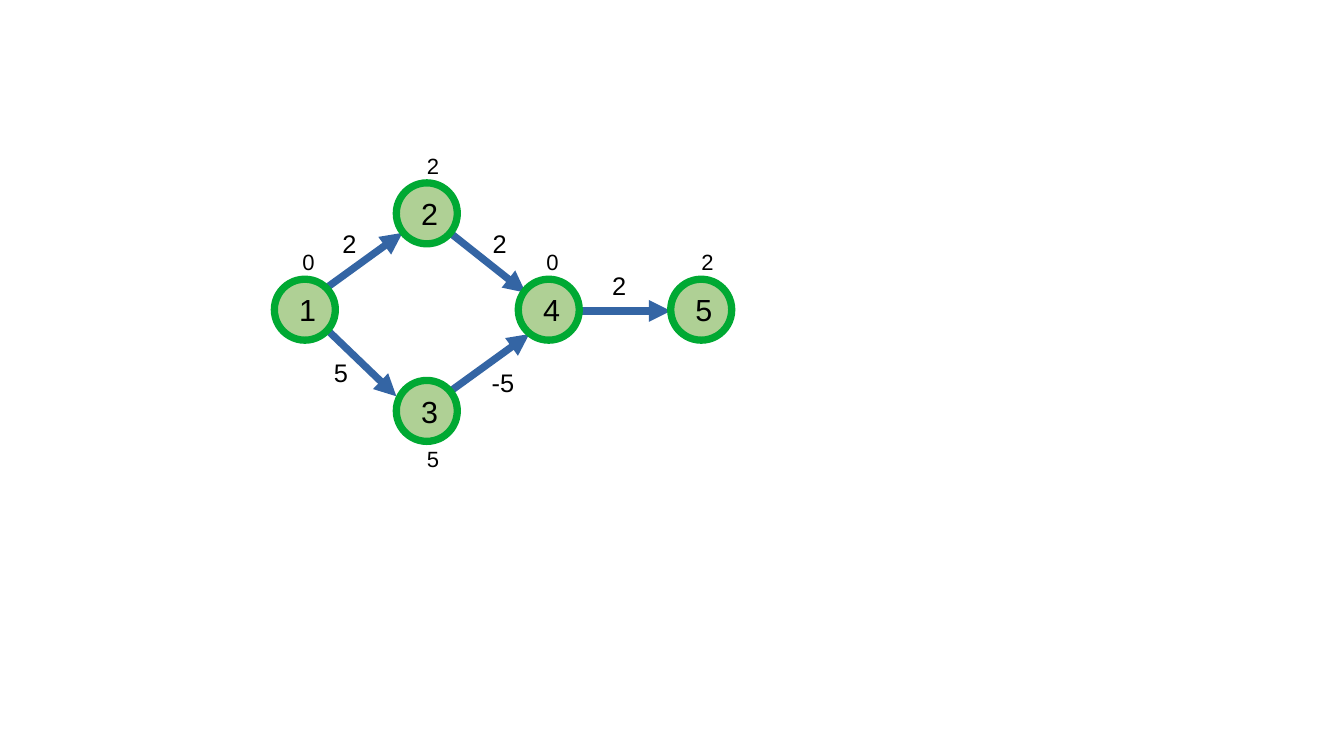
from dataclasses import dataclass

import pptx
import pptx.dml.color
import pptx.enum.shapes
import pptx.enum.text
import pptx.oxml.ns
import pptx.util
from lxml import etree

Pt = pptx.util.Pt
PP_ALIGN = pptx.enum.text.PP_ALIGN
MSO_ANCHOR = pptx.enum.text.MSO_ANCHOR
qn = pptx.oxml.ns.qn


def rgb(code: str) -> pptx.dml.color.RGBColor:
    return pptx.dml.color.RGBColor.from_string(code)


@dataclass(frozen=True)
class Theme:
    font: str = "Arial"
    text: str = "000000"
    node_fill: str = "AFD095"
    node_line: str = "00A933"
    edge: str = "3465A4"
    line_width: float = 4.31
    node_size: float = 18
    weight_size: float = 15
    distance_size: float = 13


@dataclass(frozen=True)
class Node:
    label: str
    x: float
    y: float
    distance: str
    dx: float  # distance label, relative to the node's corner
    dy: float


@dataclass(frozen=True)
class Edge:
    start: tuple[float, float]
    end: tuple[float, float]
    weight: str
    weight_at: tuple[float, float]
    weight_width: float = 22.32


THEME = Theme()
DIAMETER = 36
DISTANCE_BOX = 27.36
WEIGHT_HEIGHT = 23.76
ABOVE, BELOW = -23.76, 32.4

NODES = [
    Node("1", 162, 164.88, "0", 6.48, ABOVE),
    Node("2", 234, 108, "2", 7.92, ABOVE),
    Node("3", 234, 224.64, "5", 7.92, BELOW),
    Node("4", 306, 164.88, "0", 6.48, ABOVE),
    Node("5", 396, 164.88, "2", 7.92, ABOVE),
]
EDGES = [
    Edge((326.88, 183.6), (396, 183.6), "2", (354.24, 156.24)),
    Edge((236.88, 252), (312.48, 197.28), "-5", (283.2, 213.12), 29),
    Edge((254.88, 128.88), (310.32, 172.8), "2", (283.68, 131.04)),
    Edge((179.28, 181.44), (234, 234), "5", (190.08, 207.36)),
    Edge((182.88, 177.12), (237.6, 137.52), "2", (195.12, 131.04)),
]


def write(tf, text: str, size: float, align, anchor) -> None:
    tf.vertical_anchor = anchor
    p = tf.paragraphs[0]
    p.text = text
    p.alignment = align
    p.font.name = THEME.font
    p.font.size = Pt(size)
    p.font.color.rgb = rgb(THEME.text)


def add_label(s, text: str, x: float, y: float, w: float, h: float,
              size: float, align, anchor) -> None:
    tf = s.shapes.add_textbox(Pt(x), Pt(y), Pt(w), Pt(h)).text_frame
    tf.word_wrap = False
    tf.auto_size = pptx.enum.text.MSO_AUTO_SIZE.SHAPE_TO_FIT_TEXT
    write(tf, text, size, align, anchor)


def add_arrow(s, edge: Edge) -> None:
    sp = s.shapes.add_connector(
        pptx.enum.shapes.MSO_CONNECTOR.STRAIGHT,
        *(Pt(v) for v in edge.start + edge.end))
    sp.line.color.rgb = rgb(THEME.edge)
    sp.line.width = Pt(THEME.line_width)
    etree.SubElement(sp.line._get_or_add_ln(), qn("a:tailEnd"), type="triangle")
    etree.SubElement(sp._element.spPr, qn("a:effectLst"))


def add_node(s, node: Node) -> None:
    sp = s.shapes.add_shape(
        pptx.enum.shapes.MSO_SHAPE.OVAL,
        Pt(node.x), Pt(node.y), Pt(DIAMETER), Pt(DIAMETER))
    sp.shadow.inherit = False
    sp.fill.solid()
    sp.fill.fore_color.rgb = rgb(THEME.node_fill)
    sp.line.color.rgb = rgb(THEME.node_line)
    sp.line.width = Pt(THEME.line_width)
    tf = sp.text_frame
    tf.margin_left = tf.margin_right = Pt(9.36)
    tf.margin_top = tf.margin_bottom = Pt(5.76)
    write(tf, node.label, THEME.node_size, PP_ALIGN.CENTER, MSO_ANCHOR.MIDDLE)


def main() -> None:
    prs = pptx.Presentation()
    prs.slide_width, prs.slide_height = Pt(793.44), Pt(446.4)
    s = prs.slides.add_slide(prs.slide_layouts[6])

    # Arrows lie behind the nodes
    for edge in EDGES:
        add_arrow(s, edge)

    # Nodes with their distances
    for node in NODES:
        add_node(s, node)
        add_label(s, node.distance, node.x + node.dx, node.y + node.dy,
                  DISTANCE_BOX, DISTANCE_BOX, THEME.distance_size,
                  PP_ALIGN.CENTER, MSO_ANCHOR.MIDDLE)

    # Edge weights
    for edge in EDGES:
        add_label(s, edge.weight, *edge.weight_at, edge.weight_width,
                  WEIGHT_HEIGHT, THEME.weight_size,
                  PP_ALIGN.LEFT, MSO_ANCHOR.TOP)

    prs.save("out.pptx")


if __name__ == "__main__":
    main()
